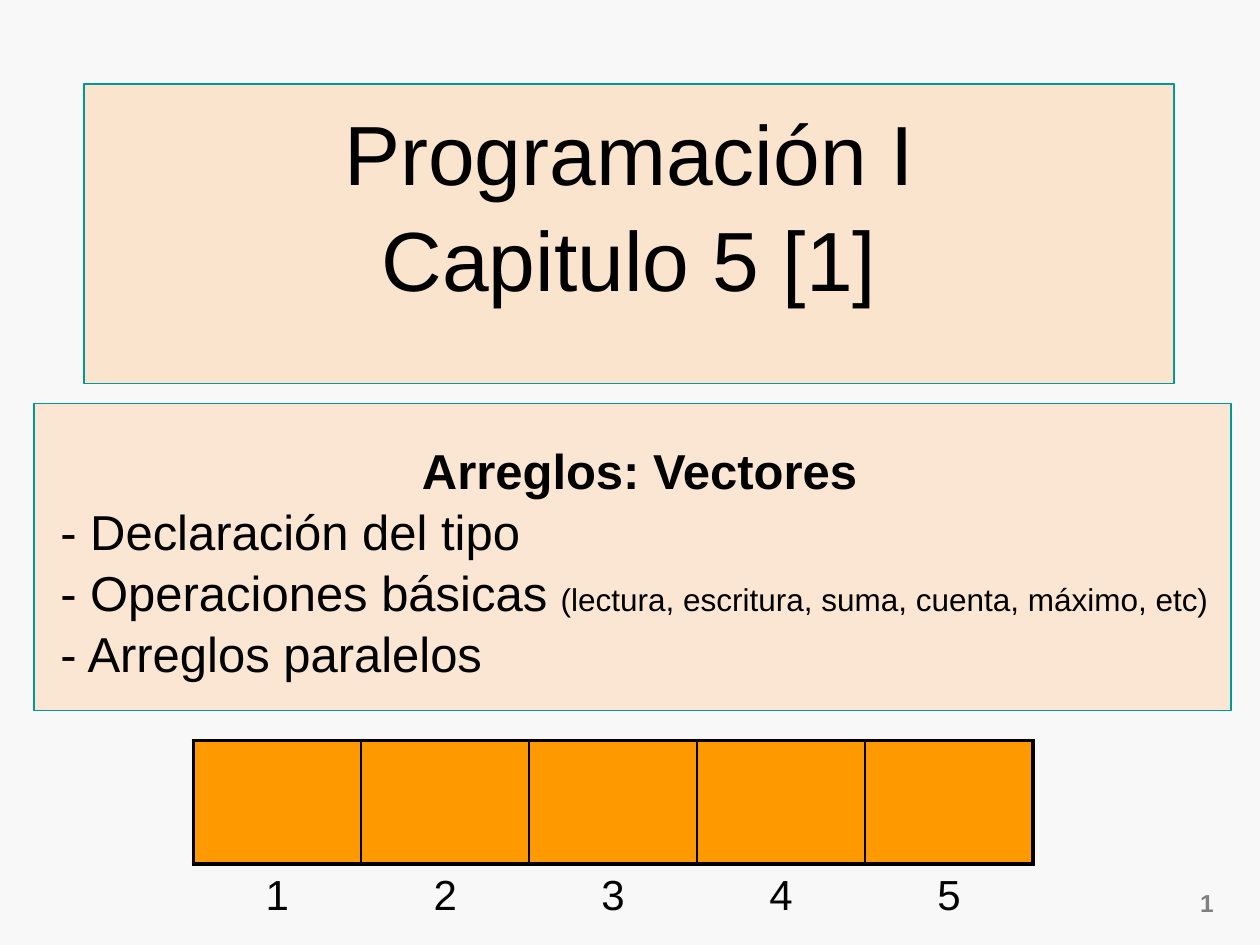
from lxml.etree import SubElement
from pptx import Presentation
from pptx.dml.color import RGBColor
from pptx.enum.shapes import MSO_SHAPE as Shape
from pptx.enum.text import MSO_ANCHOR as Anchor, PP_ALIGN as Align
from pptx.oxml.ns import qn
from pptx.util import Pt

COLORS = {
    "background": "F8F8F8",
    "panel": "FFCC99",
    "outline": "009999",
    "cell": "FF9900",
    "ink": "000000",
    "page": "808080",
}


def rgb(name):
    """Return the named palette colour."""
    return RGBColor.from_string(COLORS[name])


def write(paragraph, text, size=28, color="ink", bold=False, align=Align.LEFT, spacing=1.0):
    """Add one formatted run to a paragraph."""
    paragraph.alignment = align
    paragraph.line_spacing = spacing
    run = paragraph.add_run()
    run.text = text
    run.font.name = "Arial"
    run.font.size = Pt(size)
    run.font.bold = bold
    run.font.color.rgb = rgb(color)


def add_panel(slide, box, opacity, insets):
    """Draw an outlined translucent panel and return its text frame."""
    panel = slide.shapes.add_shape(Shape.RECTANGLE, *map(Pt, box))
    panel.shadow.inherit = False
    panel.fill.solid()
    panel.fill.fore_color.rgb = rgb("panel")
    fill_color = panel.fill._xPr.find(qn("a:solidFill"))[0]
    SubElement(fill_color, qn("a:alpha"), val=str(opacity * 1000))
    panel.line.color.rgb = rgb("outline")
    panel.line.width = Pt(0.75)
    frame = panel.text_frame
    frame.word_wrap = True
    frame.vertical_anchor = Anchor.MIDDLE
    frame.margin_left, frame.margin_top, frame.margin_right, frame.margin_bottom = map(Pt, insets)
    return frame


def add_title(slide, box):
    """Place the course title panel."""
    frame = add_panel(slide, box, 45, (7.2, 3.6, 7.2, 39.6))
    for index, line in enumerate(("Programación I", "Capitulo 5 [1]")):
        paragraph = frame.add_paragraph() if index else frame.paragraphs[0]
        write(paragraph, line, size=48, align=Align.CENTER, spacing=1.05)


def add_topics(slide, box):
    """Place the chapter heading and its list of topics."""
    frame = add_panel(slide, box, 39, (15, 7.2, 7.2, 3.6))
    write(frame.paragraphs[0], "Arreglos: Vectores", bold=True, align=Align.CENTER, spacing=1.04)
    topics = (
        ("- Declaración del tipo", ""),
        ("- Operaciones básicas ", "(lectura, escritura, suma, cuenta, máximo, etc)"),
        ("- Arreglos paralelos", ""),
    )
    for topic, detail in topics:
        paragraph = frame.add_paragraph()
        write(paragraph, topic, spacing=1.04)
        if detail:
            write(paragraph, detail, size=18, spacing=1.04)


def set_borders(cell, left=0, right=0, top=0, bottom=0):
    """Set the border widths of a cell, where zero hides a border."""
    properties = cell._tc.get_or_add_tcPr()
    sides = (("lnL", left), ("lnR", right), ("lnT", top), ("lnB", bottom))
    for position, (tag, width) in enumerate(sides):
        border = SubElement(properties, qn(f"a:{tag}"), w=str(Pt(width)))
        properties.insert(position, border)
        if width:
            fill = SubElement(border, qn("a:solidFill"))
            SubElement(fill, qn("a:srgbClr"), val=COLORS["ink"])
        else:
            SubElement(border, qn("a:noFill"))


def add_vector(slide, box, length=5, cell_height=70.5, outer=2.25, inner=1):
    """Draw the vector as a row of cells above their indexes."""
    left, top, width, height = box
    table = slide.shapes.add_table(2, length, *map(Pt, box)).table
    table.first_row = table.horz_banding = False
    table.rows[0].height = Pt(cell_height)
    table.rows[1].height = Pt(height - cell_height)
    for index in range(length):
        table.columns[index].width = Pt(width / length)
        element, label = table.cell(0, index), table.cell(1, index)
        element.fill.solid()
        element.fill.fore_color.rgb = rgb("cell")
        set_borders(
            element,
            left=inner if index else outer,
            right=inner if index < length - 1 else outer,
            top=outer,
            bottom=outer,
        )
        label.fill.background()
        set_borders(label, top=outer)
        label.vertical_anchor = Anchor.MIDDLE
        write(label.text_frame.paragraphs[0], str(index + 1), size=24, align=Align.CENTER)


def add_page_number(slide, box):
    """Place the page number."""
    frame = slide.shapes.add_textbox(*map(Pt, box)).text_frame
    frame.word_wrap = True
    write(frame.paragraphs[0], "1", size=14, color="page", bold=True, align=Align.RIGHT)


def main():
    """Build the slide and save it."""
    deck = Presentation()
    deck.slide_width, deck.slide_height = Pt(720), Pt(540)
    slide = deck.slides.add_slide(deck.slide_layouts[6])
    slide.background.fill.solid()
    slide.background.fill.fore_color.rgb = rgb("background")
    add_page_number(slide, (653.8, 504, 46.8, 23.8))
    add_title(slide, (48, 48, 623, 171))
    add_topics(slide, (19.5, 230.4, 684, 175.6))
    add_vector(slide, (110.4, 423.2, 480, 106.5))
    deck.save("out.pptx")


if __name__ == "__main__":
    main()
